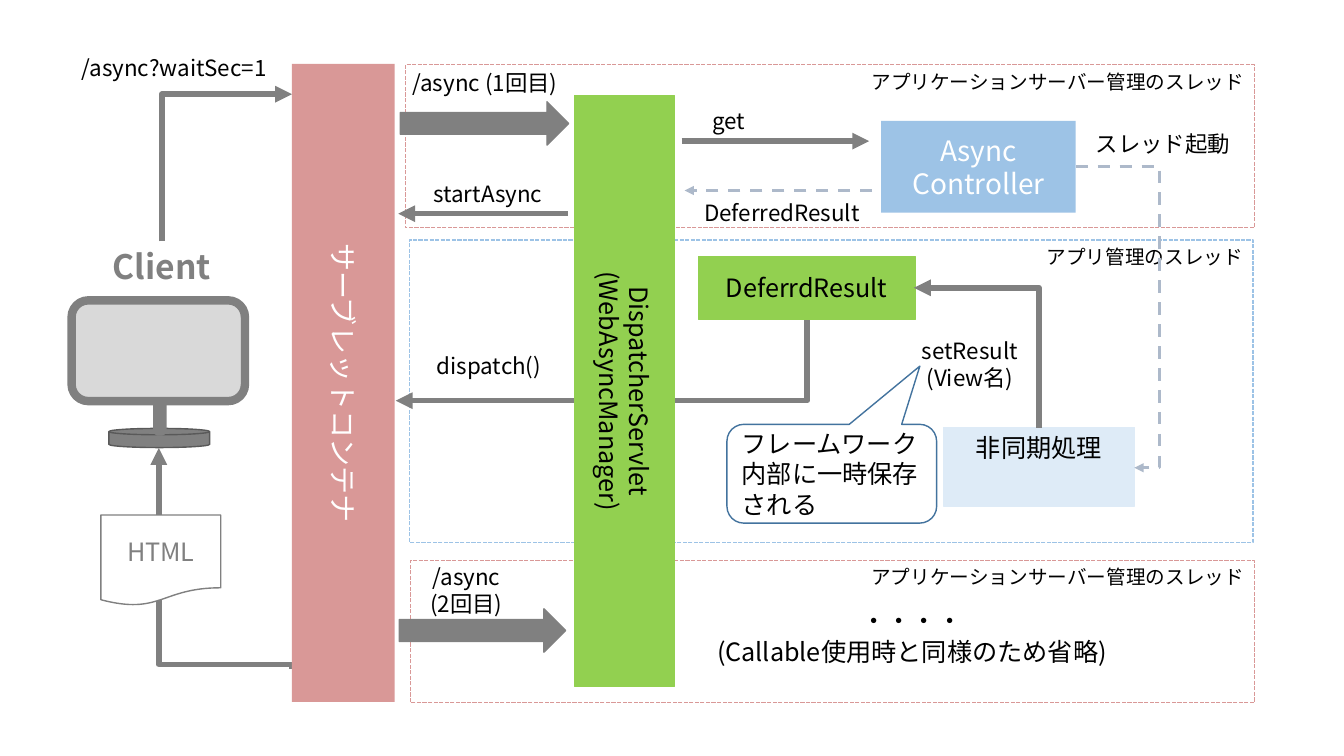
from lxml import etree
from pptx import Presentation
from pptx.dml.color import RGBColor
from pptx.enum.dml import MSO_LINE
from pptx.enum.shapes import MSO_CONNECTOR, MSO_SHAPE
from pptx.enum.text import MSO_ANCHOR, PP_ALIGN
from pptx.oxml.ns import qn
from pptx.util import Inches, Pt

FONT = "Noto Sans CJK JP"
BLACK, WHITE, GRAY = "000000", "FFFFFF", "808080"
SCREEN, STAND_EDGE = "D9D9D9", "595959"
ROSE, GREEN, BLUE = "D99897", "92D050", "9DC3E6"
PALE_BLUE, CALLOUT_BLUE, SLATE = "DEEBF7", "43739E", "ADB9CA"
TOP, MIDDLE = MSO_ANCHOR.TOP, MSO_ANCHOR.MIDDLE
LEFT, CENTER, RIGHT = PP_ALIGN.LEFT, PP_ALIGN.CENTER, PP_ALIGN.RIGHT
RECT, ROUND = MSO_SHAPE.RECTANGLE, MSO_SHAPE.ROUNDED_RECTANGLE
DISK, DOCUMENT = MSO_SHAPE.FLOWCHART_MAGNETIC_DISK, MSO_SHAPE.FLOWCHART_DOCUMENT
BLOCK_ARROW, CALLOUT = MSO_SHAPE.RIGHT_ARROW, MSO_SHAPE.ROUNDED_RECTANGULAR_CALLOUT
DASH, FINE_DASH = MSO_LINE.DASH, MSO_LINE.SQUARE_DOT
STRAIGHT, ELBOW = MSO_CONNECTOR.STRAIGHT, MSO_CONNECTOR.ELBOW
THREAD_OWNER = "アプリケーションサーバー管理のスレッド"


def color(value):
    return RGBColor.from_string(value)


def set_all(target, values):
    for name, value in values.items():
        setattr(target, name, value)


def write(shape, text, size, ink=BLACK, align=CENTER, anchor=MIDDLE,
          wrap=True, bold=False, vertical=False):
    frame = shape.text_frame
    frame.text = text
    set_all(frame, {"word_wrap": wrap, "vertical_anchor": anchor})
    if vertical:
        frame._txBody.bodyPr.set("vert", "vert")
    for paragraph in frame.paragraphs:
        paragraph.alignment = align
        for run in paragraph.runs:
            set_all(run.font, {"name": FONT, "size": Pt(size), "bold": bold})
            run.font.color.rgb = color(ink)
            east_asian = etree.SubElement(run.font._element, qn("a:ea"))
            east_asian.set("typeface", FONT)


def box(slide, kind, at, fill=None, edge=None, width=1, dash=None, rotation=0):
    shape = slide.shapes.add_shape(kind, *map(Inches, at))
    shape.shadow.inherit = False
    shape.rotation = rotation
    if fill:
        shape.fill.solid()
        shape.fill.fore_color.rgb = color(fill)
    else:
        shape.fill.background()
    if edge:
        shape.line.color.rgb = color(edge)
        set_all(shape.line, {"width": Pt(width), "dash_style": dash})
    else:
        shape.line.fill.background()
    return shape


def label(slide, at, text, size=16, **style):
    style = {"anchor": TOP, "wrap": False, **style}
    write(slide.shapes.add_textbox(*map(Inches, at)), text, size, **style)


def thread(slide, at, text, edge):
    write(box(slide, RECT, at, edge=edge, dash=FINE_DASH), text, 14,
          align=RIGHT, anchor=TOP)


def arrow(slide, start, end, ink=GRAY, width=4, dash=None, kind=STRAIGHT):
    connector = slide.shapes.add_connector(kind, *map(Inches, start + end))
    connector.line.color.rgb = color(ink)
    set_all(connector.line, {"width": Pt(width), "dash_style": dash})
    properties = connector._element.spPr
    etree.SubElement(properties.find(qn("a:ln")), qn("a:tailEnd")).set("type", "triangle")
    etree.SubElement(properties, qn("a:effectLst"))
    return properties


def elbow(slide, frame, rotation=0, flip="", bend=None, **style):
    left, top, width, height = frame
    xs, ys = (left, left + width), (top, top + height)
    if "h" in flip:
        xs = xs[::-1]
    if "v" in flip:
        ys = ys[::-1]
    properties = arrow(slide, (xs[0], ys[0]), (xs[1], ys[1]), kind=ELBOW, **style)
    properties.find(qn("a:xfrm")).set("rot", str(rotation * 60000))
    geometry = properties.find(qn("a:prstGeom"))
    if bend is None:
        geometry.set("prst", "bentConnector2")
    else:
        guide = etree.SubElement(geometry.find(qn("a:avLst")), qn("a:gd"))
        guide.set("name", "adj1")
        guide.set("fmla", f"val {round(bend * 100000)}")


def client(slide):
    box(slide, ROUND, (0.71, 2.98, 1.72, 1), SCREEN, GRAY, 6)
    box(slide, DISK, (1.08, 4.25, 1, 0.19), GRAY, STAND_EDGE)
    box(slide, ROUND, (1.44, 4.11, 0.29, 0.05), SCREEN, GRAY, 6, rotation=90)
    label(slide, (1.02, 2.39, 1.17, 0.5), "Client", 24, ink=GRAY, bold=True, align=LEFT)


def threads(slide):
    write(box(slide, RECT, (8.74, 1.2, 1.93, 0.91), BLUE), "Async\nController", 20, WHITE)
    thread(slide, (4.02, 0.64, 8.42, 1.62), THREAD_OWNER, ROSE)
    thread(slide, (4.06, 2.38, 8.37, 3), "アプリ管理のスレッド", BLUE)
    write(box(slide, RECT, (9.36, 4.24, 1.89, 0.78), PALE_BLUE, PALE_BLUE),
          "非同期処理", 18, anchor=TOP)
    arrow(slide, (8.65, 1.89), (6.79, 1.89), SLATE, 2.25, DASH)
    thread(slide, (4.07, 5.56, 8.37, 1.41), THREAD_OWNER, ROSE)


def container(slide):
    elbow(slide, (1.52, 1.02, 1.46, 1.29), 90, "hv", 1)
    elbow(slide, (1.14, 4.88, 2.19, 1.32), 270, "v", 0.02)
    write(box(slide, DOCUMENT, (1, 5.11, 1.19, 0.9), WHITE, GRAY), "HTML", 18, GRAY)
    label(slide, (0.71, 0.49, 2.13, 0.37), "/async?waitSec=1", align=LEFT)
    elbow(slide, (10.67, 1.65, 0.58, 2.99), bend=1.43, ink=SLATE, width=2.25, dash=DASH)
    write(box(slide, RECT, (0.24, 3.29, 6.33, 1.02), ROSE, rotation=90),
          "サーブレットコンテナ", 20, WHITE)


def requests(slide):
    elbow(slide, (5.56, 1.53, 0.81, 4.08), 90)
    for at in ((3.97, 1.01, 1.67, 0.43), (3.96, 6.04, 1.65, 0.43)):
        box(slide, BLOCK_ARROW, at, GRAY, GRAY)
    label(slide, (9.03, 3.3, 1.18, 0.64), "setResult\n(View名)")
    label(slide, (3.99, 0.64, 1.71, 0.37), "/async (1回目)", align=LEFT, wrap=True)
    label(slide, (6.97, 1.01, 0.53, 0.37), "get", align=LEFT)
    label(slide, (4.15, 5.54, 0.95, 0.64), "/async\n(2回目)", wrap=True)
    arrow(slide, (6.76, 1.4), (8.62, 1.4))
    label(slide, (6.87, 1.93, 1.77, 0.37), "DeferredResult")


def results(slide):
    write(box(slide, RECT, (7.69, 1.78, 0.62, 2.15), GREEN, GREEN, 0.5, rotation=270),
          "DeferrdResult", 18, vertical=True)
    elbow(slide, (8.99, 2.93, 1.39, 1.24), 270, "v")
    storage = box(slide, CALLOUT, (7.21, 4.21, 2.08, 0.98), WHITE, CALLOUT_BLUE)
    for index, value in enumerate((0.42, -1.09, 0.17)):
        storage.adjustments[index] = value
    write(storage, "フレームワーク内部に一時保存される", 18, align=LEFT)
    label(slide, (10.76, 1.24, 1.55, 0.37), "スレッド起動")


def dispatcher(slide):
    write(box(slide, RECT, (5.7, 0.95, 0.99, 5.86), GREEN, GREEN, 0.5),
          "DispatcherServlet\n(WebAsyncManager)", 18, vertical=True)
    label(slide, (6.93, 5.96, 4.23, 0.71),
          "・・・・\n(Callable使用時と同様のため省略)", 18, wrap=True)
    arrow(slide, (5.63, 2.12), (3.95, 2.12))
    label(slide, (4.19, 1.74, 1.3, 0.37), "startAsync")
    label(slide, (4.22, 3.44, 1.26, 0.37), "dispatch()")


def main():
    deck = Presentation()
    set_all(deck, {"slide_width": Inches(13.33), "slide_height": Inches(7.5)})
    slide = deck.slides.add_slide(deck.slide_layouts[6])
    for draw in (client, threads, container, requests, results, dispatcher):
        draw(slide)
    deck.save("out.pptx")


main()
